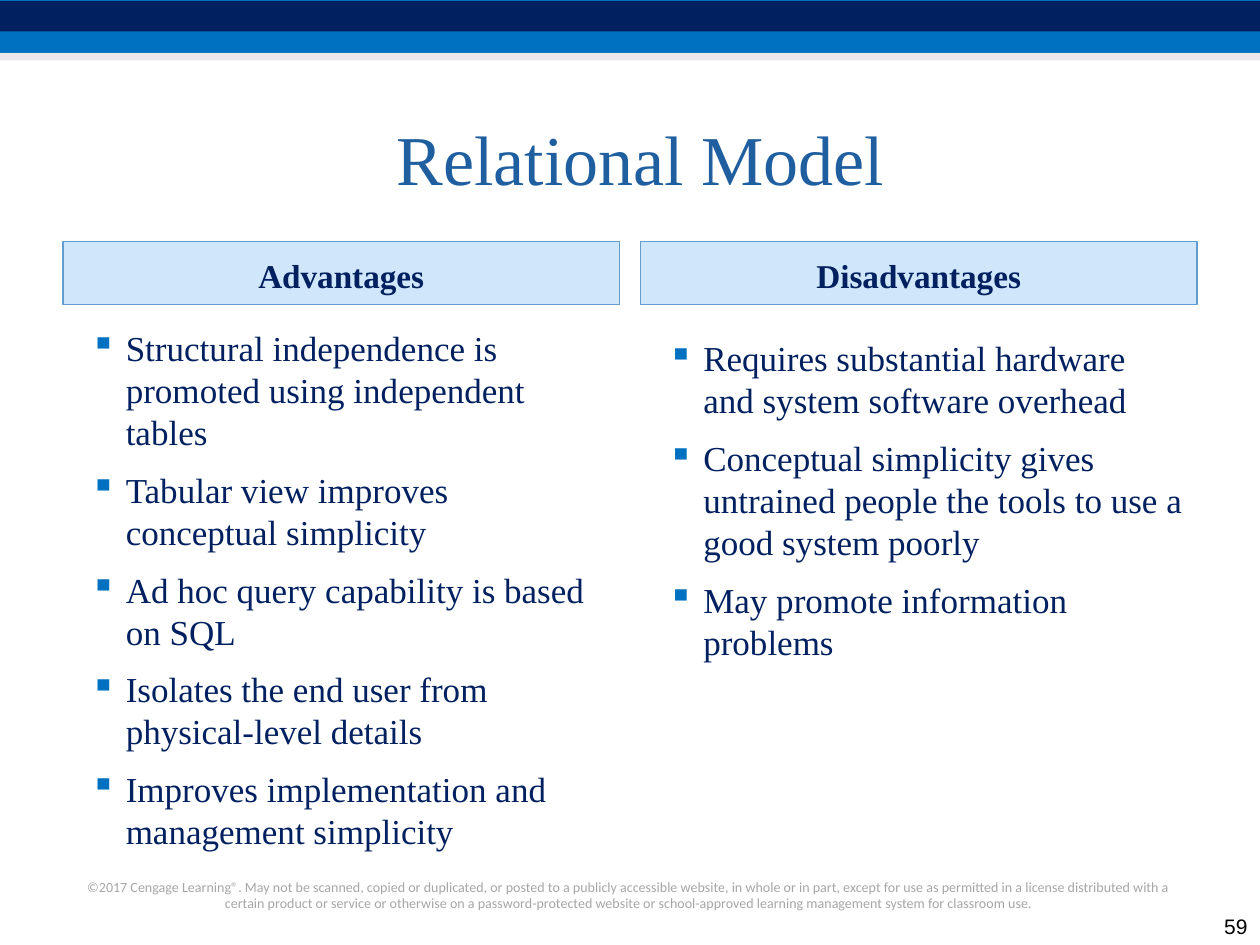
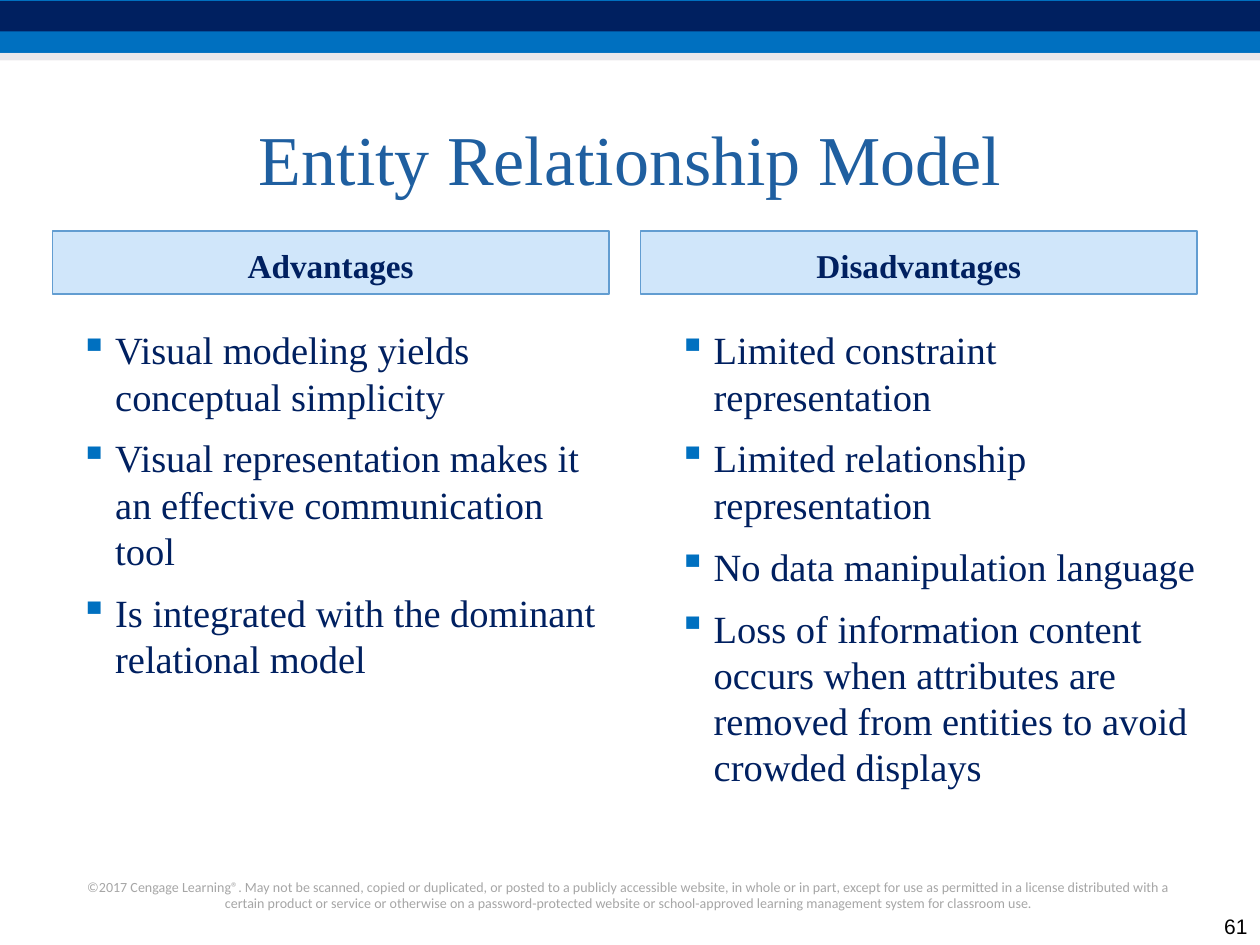
import pptx
import pptx.dml.color
import pptx.enum.shapes
import pptx.enum.text
import pptx.util
from lxml import etree

ALIGN = pptx.enum.text.PP_ALIGN
ANCHOR = pptx.enum.text.MSO_ANCHOR

# Content: positions are in units of the grid, twelve to the inch
SLIDES = [
    {
        "title": "Relational Model", "page": "59", "title_left": 6,
        "heading_top": 23, "size": 20,
        "columns": [
            {"heading": "Advantages", "heading_left": 6, "list_at": (6, 30),
             "points": [
                 "Structural independence is promoted using independent tables",
                 "Tabular view improves conceptual simplicity",
                 "Ad hoc query capability is based on SQL",
                 "Isolates the end user from physical-level details",
                 "Improves implementation and management simplicity"]},
            {"heading": "Disadvantages", "heading_left": 61, "list_at": (61, 31),
             "points": [
                 "Requires substantial hardware and system software overhead",
                 "Conceptual simplicity gives untrained people the tools to use "
                 "a good system poorly",
                 "May promote information problems"]},
        ],
    },
    {
        "title": "Entity Relationship Model", "page": "61", "title_left": 5,
        "heading_top": 22, "size": 22,
        "columns": [
            {"heading": "Advantages", "heading_left": 5, "list_at": (5, 30),
             "points": [
                 "Visual modeling yields conceptual simplicity",
                 "Visual representation makes it an effective communication tool",
                 "Is integrated with the dominant relational model"]},
            {"heading": "Disadvantages", "heading_left": 61, "list_at": (62, 30),
             "points": [
                 "Limited constraint representation",
                 "Limited relationship representation",
                 "No data manipulation language",
                 "Loss of information content occurs when attributes are removed "
                 "from entities to avoid crowded displays"]},
        ],
    },
]
COPYRIGHT = (
    "©2017 Cengage Learning®. May not be scanned, copied or duplicated, or posted "
    "to a publicly accessible website, in whole or in part, except for use as "
    "permitted in a license distributed with a certain product or service or "
    "otherwise on a password-protected website or school-approved learning "
    "management system for classroom use.")

# Shared style
SERIF, SANS, FOOTER_FONT = "Times New Roman", "Arial", "Calibri"
NAVY, BLUE, TITLE_BLUE = "002060", "0070C0", "1F5FA0"
PALE_BLUE, EDGE_BLUE = "469FED", "629DD1"
MIST, GREY, BLACK = "D8D3D9", "A6A6A6", "000000"
WIDTH, HEIGHT = 10, 7.5
GRID = 1 / 12
COLUMN_W, HEADING_H, LIST_H = 53, 6, 51
BANDS = [  # top, height, colour, opacity in percent
    (0, 0.42, BLUE, 100),
    (0.01, 0.24, NAVY, 100),
    (0.42, 0.06, MIST, 50),
]
TOP_INSET = 0.09


def rgb(color):
    return pptx.dml.color.RGBColor.from_string(color)


def on_grid(*units):
    return [unit * GRID for unit in units]


def add_rect(slide, box, color, opacity=100, edge=None):
    rect = slide.shapes.add_shape(
        pptx.enum.shapes.MSO_SHAPE.RECTANGLE, *map(pptx.util.Inches, box))
    rect.shadow.inherit = False
    rect.fill.solid()
    rect.fill.fore_color.rgb = rgb(color)
    if opacity < 100:
        srgb = rect.fill._xPr.find(".//" + pptx.oxml.ns.qn("a:srgbClr"))
        etree.SubElement(srgb, pptx.oxml.ns.qn("a:alpha"), val=str(opacity * 1000))
    if edge:
        rect.line.color.rgb = rgb(edge)
        rect.line.width = pptx.util.Pt(1)
    else:
        rect.line.fill.background()
    return rect


def add_box(slide, box):
    return slide.shapes.add_textbox(*map(pptx.util.Inches, box))


def set_bullet(paragraph):
    props = paragraph._p.get_or_add_pPr()
    props.set("marL", str(pptx.util.Inches(0.4)))
    props.set("indent", str(pptx.util.Inches(-0.28)))
    bullet_color = etree.SubElement(props, pptx.oxml.ns.qn("a:buClr"))
    etree.SubElement(bullet_color, pptx.oxml.ns.qn("a:srgbClr"), val=BLUE)
    etree.SubElement(props, pptx.oxml.ns.qn("a:buChar"), char="▪")


def write(holder, lines, size, color, font=SERIF, bold=False, align=ALIGN.LEFT,
          anchor=ANCHOR.TOP, inset=0.05, bullets=False):
    frame = holder.text_frame
    frame.word_wrap = True
    frame.vertical_anchor = anchor
    frame.margin_top = pptx.util.Inches(inset)
    for index, line in enumerate(lines):
        paragraph = frame.add_paragraph() if index else frame.paragraphs[0]
        paragraph.alignment = align
        if bullets:
            paragraph.space_before = pptx.util.Pt(3 if index else 0)
            paragraph.space_after = pptx.util.Pt(6)
            set_bullet(paragraph)
        run = paragraph.add_run()
        run.text = line
        run.font.name = font
        run.font.size = pptx.util.Pt(size)
        run.font.bold = bold
        run.font.color.rgb = rgb(color)


def add_frame(slide, page):
    """Bands, copyright line and page number that every slide carries."""
    for top, height, color, opacity in BANDS:
        add_rect(slide, (0, top, WIDTH, height), color, opacity)
    write(add_box(slide, (0.58, 6.92, 8.83, 0.37)), [COPYRIGHT], 8, GREY,
          FOOTER_FONT, align=ALIGN.CENTER)
    write(add_box(slide, on_grid(114, 86, 6, 4)), [page], 12, BLACK, SANS,
          align=ALIGN.RIGHT, anchor=ANCHOR.BOTTOM)


def add_column(slide, column, heading_top, size):
    heading = add_rect(
        slide, on_grid(column["heading_left"], heading_top, COLUMN_W, HEADING_H),
        PALE_BLUE, 25, EDGE_BLUE)
    write(heading, [column["heading"]], 19, NAVY, bold=True, align=ALIGN.CENTER,
          anchor=ANCHOR.MIDDLE, inset=TOP_INSET)
    points = add_box(slide, on_grid(*column["list_at"], COLUMN_W, LIST_H))
    write(points, column["points"], size, NAVY, inset=TOP_INSET, bullets=True)


def main():
    deck = pptx.Presentation()
    deck.slide_width = pptx.util.Inches(WIDTH)
    deck.slide_height = pptx.util.Inches(HEIGHT)
    for content in SLIDES:
        slide = deck.slides.add_slide(deck.slide_layouts[6])
        add_frame(slide, content["page"])
        write(add_box(slide, on_grid(content["title_left"], 8, 110, 14)),
              [content["title"]], 40, TITLE_BLUE, align=ALIGN.CENTER,
              anchor=ANCHOR.MIDDLE)
        for column in content["columns"]:
            add_column(slide, column, content["heading_top"], content["size"])
    deck.save("out.pptx")


if __name__ == "__main__":
    main()
